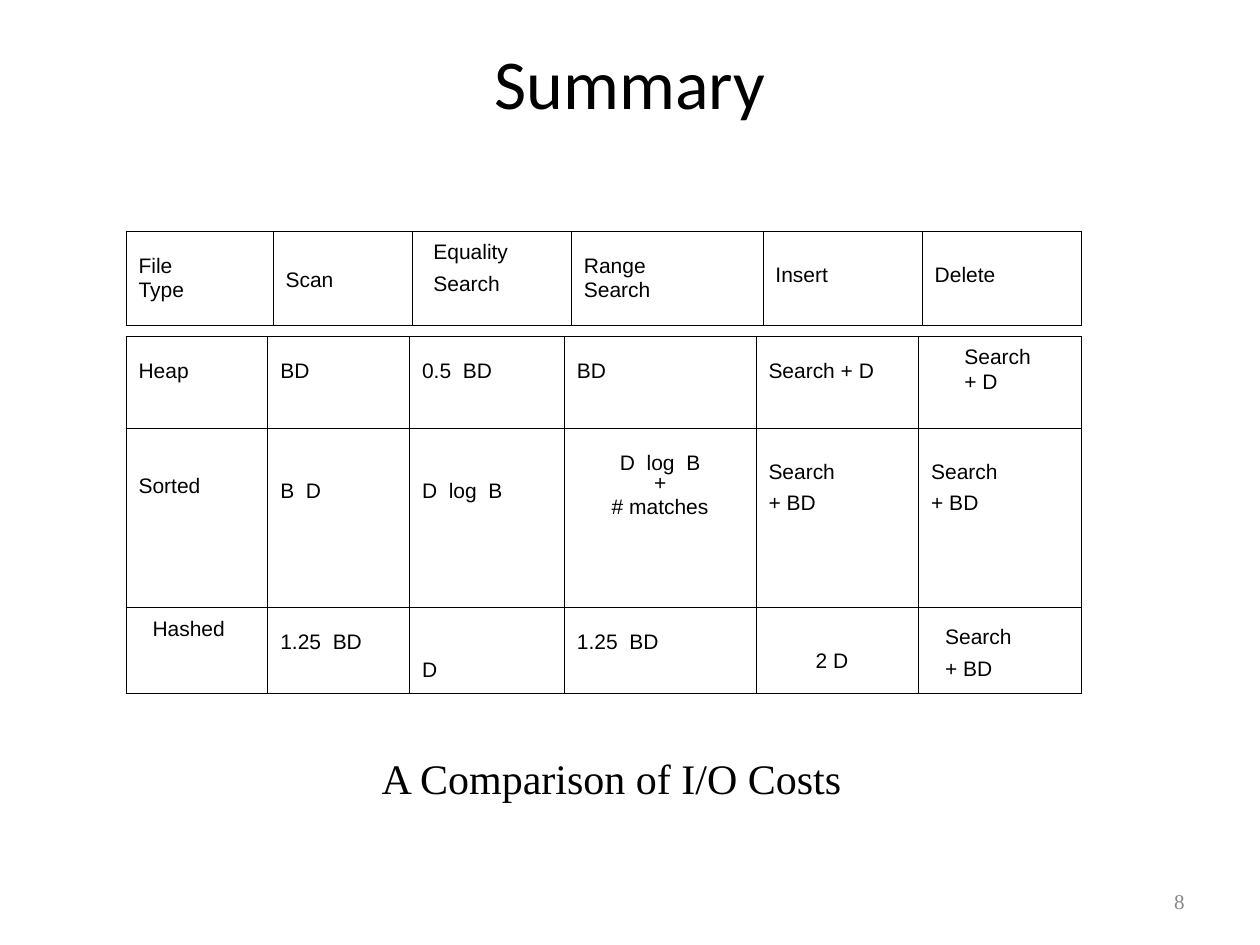
from lxml.etree import SubElement
from pptx import Presentation
from pptx.dml.color import RGBColor
from pptx.enum.text import MSO_ANCHOR as Anchor, PP_ALIGN as Align
from pptx.oxml.ns import qn
from pptx.util import Pt

BLACK, GREY = "000000", "898989"
LOOSE = {"before": 2.5}
TIGHT = {"pitches": (1.15, Pt(13.8))}
STACKED = {"pitches": (Pt(13.2), Pt(11.5), Pt(13.5)), "align": Align.CENTER}

# Each cell: text, space above it, and any further format
HEADER = [[
    ("File\nType", 7.5, TIGHT),
    ("Scan", 15.5, {}),
    ("Equality\nSearch", 0, {"indent": 5, **LOOSE}),
    ("Range\nSearch", 7.5, TIGHT),
    ("Insert", 13, {}),
    ("Delete", 13, {}),
]]
COSTS = [
    [("Heap", 7.5, {}),
     ("BD", 7.5, {}),
     ("0.5  BD", 7.5, {}),
     ("BD", 7.5, {}),
     ("Search + D", 7.5, {}),
     ("Search\n+ D", 0, {"indent": 19, **TIGHT})],
    [("Sorted", 21, {}),
     ("B  D", 24, {}),
     ("D  log  B", 24, {}),
     ("D  log  B\n+\n# matches", 10, STACKED),
     ("Search\n+ BD", 13, LOOSE),
     ("Search\n+ BD", 13, LOOSE)],
    [("Hashed", 0, {"indent": 8}),
     ("1.25  BD", 7.5, {}),
     ("D", 23.4, {}),
     ("1.25  BD", 7.5, {}),
     ("2 D", 18.6, {"indent": 27}),
     ("Search\n+ BD", 5, {"indent": 8, **LOOSE})],
]
TABLES = [
    (HEADER, 132, [84, 79.5, 91, 109.5, 91, 91], [54]),
    (COSTS, 192, [81, 81, 88.5, 109.5, 93, 93], [52.5, 102.5, 49]),
]
TABLE_LEFT = 72


def rgb(hex_color):
    return RGBColor.from_string(hex_color)


def write(frame, text, font="Arial", size=12, color=BLACK, align=Align.LEFT,
          pitches=(), before=0):
    """Fill a frame, one paragraph per line; pitches are the line spacings."""
    for i, line in enumerate(text.split("\n")):
        paragraph = frame.add_paragraph() if i else frame.paragraphs[0]
        paragraph.alignment = align
        if pitches:
            paragraph.line_spacing = pitches[i]
        if i and before:
            paragraph.space_before = Pt(before)
        run = paragraph.add_run()
        run.text = line
        run.font.name, run.font.size = font, Pt(size)
        run.font.color.rgb = rgb(color)


def add_text(slide, box, text, anchor=Anchor.TOP, wrap=True, **text_format):
    frame = slide.shapes.add_textbox(*map(Pt, box)).text_frame
    frame.word_wrap = wrap
    frame.vertical_anchor = anchor
    write(frame, text, **text_format)


def add_borders(cell):
    properties = cell._tc.get_or_add_tcPr()
    for position, side in enumerate(("lnL", "lnR", "lnT", "lnB")):
        line = SubElement(properties, qn(f"a:{side}"), w=str(Pt(0.45)))
        properties.insert(position, line)
        fill = SubElement(line, qn("a:solidFill"))
        SubElement(fill, qn("a:srgbClr"), val=BLACK)


def fill_cell(cell, text, gap, indent=0, pitches=None, **text_format):
    cell.fill.background()
    add_borders(cell)
    cell.margin_top = Pt(3.6 + gap)
    cell.margin_left = Pt(7.2 + indent)
    pitches = pitches or [1.15] * len(text.split("\n"))
    write(cell.text_frame, text, pitches=pitches, **text_format)


def add_grid(slide, rows, top, widths, heights):
    table = slide.shapes.add_table(
        len(rows), len(widths), Pt(TABLE_LEFT), Pt(top),
        Pt(sum(widths)), Pt(sum(heights))).table
    table.first_row = table.horz_banding = False
    for column, width in zip(table.columns, widths):
        column.width = Pt(width)
    for row, height, entries in zip(table.rows, heights, rows):
        row.height = Pt(height)
        for cell, (text, gap, text_format) in zip(row.cells, entries):
            fill_cell(cell, text, gap, **text_format)


def main():
    deck = Presentation()
    deck.slide_width, deck.slide_height = Pt(720), Pt(540)
    slide = deck.slides.add_slide(deck.slide_layouts[6])
    add_text(slide, (36, 21.6, 648, 50.4), "Summary", anchor=Anchor.MIDDLE,
             font="Calibri", size=40, align=Align.CENTER)
    for grid in TABLES:
        add_grid(slide, *grid)
    add_text(slide, (211, 426.5, 278, 36), "A Comparison of I/O Costs",
             wrap=False, font="Times New Roman", size=24)
    add_text(slide, (516, 500.5, 168, 28.8), "8", anchor=Anchor.MIDDLE,
             font="Times New Roman", color=GREY, align=Align.RIGHT)
    deck.save("out.pptx")


if __name__ == "__main__":
    main()
